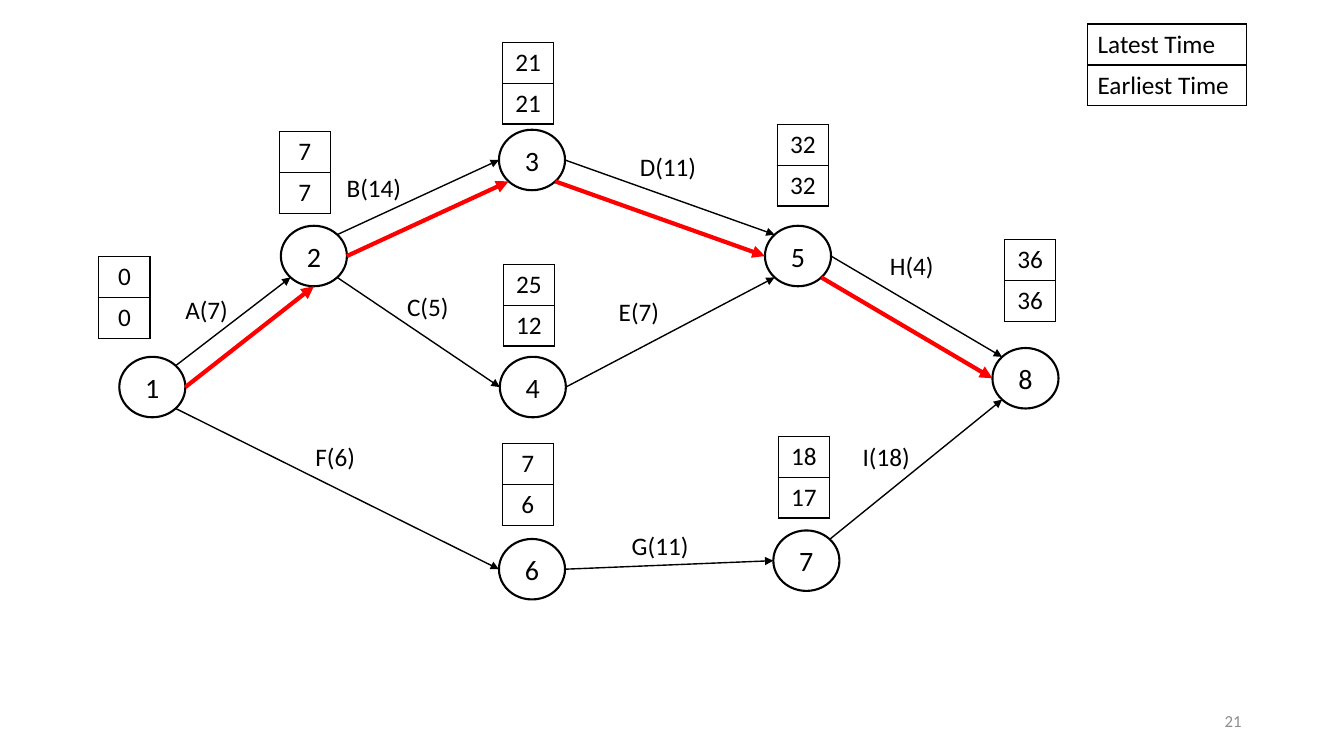
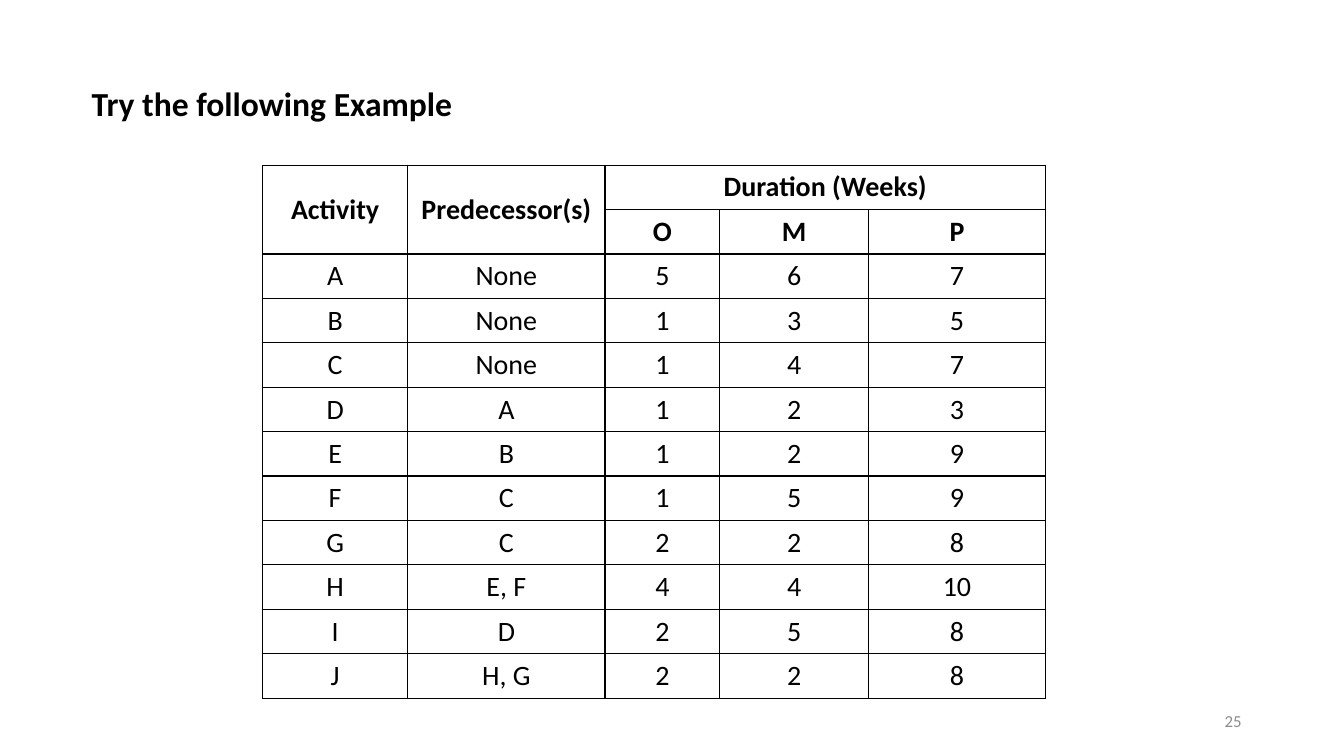
from math import cos, pi, sin

from lxml.etree import SubElement
from pptx import Presentation
from pptx.dml.color import RGBColor
from pptx.enum.shapes import MSO_CONNECTOR, MSO_SHAPE
from pptx.enum.text import MSO_ANCHOR, PP_ALIGN
from pptx.oxml.ns import qn
from pptx.util import Pt

BLACK = RGBColor(0, 0, 0)
RED = RGBColor(0xFF, 0, 0)
GREY = RGBColor(0x8C, 0x8C, 0x8C)
FONT = "Calibri"
NODE_W, NODE_H = 47.2, 43.2
ROW_H = 29.2

# Connection sites of an ellipse, counted anticlockwise from the top
TOP_LEFT, LEFT, LOW_LEFT, LOW, LOW_RIGHT, RIGHT, TOP_RIGHT = range(1, 8)

# Event: left and top of its circle, left and top of its times, latest, earliest
EVENTS = {
    1: (85.2, 254.9, 70.6, 183.4, 0, 0),
    2: (200.6, 161.3, 199.4, 94.2, 7, 7),
    3: (356.4, 92.7, 359, 30.2, 21, 21),
    4: (357, 254.9, 359.5, 188.8, 25, 12),
    5: (546.4, 161.3, 555.2, 88.8, 32, 32),
    6: (356.4, 385, 358.8, 316.7, 7, 6),
    7: (552.4, 378.9, 556, 311.6, 18, 17),
    8: (708.9, 248.6, 717.5, 171, 36, 36),
}
# Activity: start event and site, end event and site, label left, top, width
TASKS = {
    "A(7)": (1, TOP_RIGHT, 2, LOW_LEFT, 125.3, 206.6, 45.4),
    "B(14)": (2, TOP_RIGHT, 3, LEFT, 240.5, 119.5, 54),
    "C(5)": (2, LOW_RIGHT, 4, LEFT, 283.7, 204.5, 44.6),
    "D(11)": (3, RIGHT, 5, TOP_LEFT, 450, 104.4, 55.4),
    "E(7)": (4, RIGHT, 5, LOW_LEFT, 434.9, 208.1, 45.4),
    "F(6)": (1, LOW_RIGHT, 6, LEFT, 218.2, 311.8, 43.2),
    "G(11)": (6, RIGHT, 7, LEFT, 444.2, 375.1, 55.4),
    "H(4)": (5, RIGHT, 8, TOP_LEFT, 628.6, 175, 46.1),
    "I(18)": (7, TOP_RIGHT, 8, LOW_LEFT, 609.1, 311.8, 49),
}
CRITICAL = [
    (1, RIGHT, 2, LOW),
    (2, RIGHT, 3, LOW_LEFT),
    (3, LOW_RIGHT, 5, LEFT),
    (5, LOW_RIGHT, 8, LEFT),
]
PLAN = [
    ("Activity", "Predecessor(s)", "Duration (Weeks)", "", ""),
    ("", "", "O", "M", "P"),
    ("A", "None", 5, 6, 7),
    ("B", "None", 1, 3, 5),
    ("C", "None", 1, 4, 7),
    ("D", "A", 1, 2, 3),
    ("E", "B", 1, 2, 9),
    ("F", "C", 1, 5, 9),
    ("G", "C", 2, 2, 8),
    ("H", "E, F", 4, 4, 10),
    ("I", "D", 2, 5, 8),
    ("J", "H, G", 2, 2, 8),
]


def write(frame, text, size, color=BLACK, bold=False, align=PP_ALIGN.LEFT):
    frame.text = str(text)
    para = frame.paragraphs[0]
    para.alignment = align
    for run in para.runs:
        font = run.font
        font.name, font.size, font.bold = FONT, Pt(size), bold
        font.color.rgb = color


def add_label(slide, box, text, size, **style):
    frame = slide.shapes.add_textbox(*map(Pt, box)).text_frame
    frame.word_wrap = False
    write(frame, text, size, **style)
    return frame


def add_number(slide, num):
    frame = add_label(slide, (678, 500.5, 216, 28.8), num, 12,
                      color=GREY, align=PP_ALIGN.RIGHT)
    frame.word_wrap = True
    frame.vertical_anchor = MSO_ANCHOR.MIDDLE


def rule_cell(cell):
    """Draw the four borders, which stand ahead of the fill."""
    props = cell._tc.get_or_add_tcPr()
    for spot, side in enumerate(("lnL", "lnR", "lnT", "lnB")):
        edge = SubElement(props, qn("a:" + side), w=str(Pt(1)))
        fill = SubElement(edge, qn("a:solidFill"))
        SubElement(fill, qn("a:srgbClr"), val=str(BLACK))
        props.insert(spot, edge)


def add_grid(slide, left, top, widths, row_h, rows, size,
             heads=0, align=PP_ALIGN.CENTER):
    box = (left, top, sum(widths), row_h * len(rows))
    table = slide.shapes.add_table(
        len(rows), len(widths), *map(Pt, box)).table
    table.first_row = table.horz_banding = False
    for col, width in zip(table.columns, widths):
        col.width = Pt(width)
    for r, row in enumerate(rows):
        table.rows[r].height = Pt(row_h)
        for c, text in enumerate(row):
            cell = table.cell(r, c)
            cell.fill.background()
            cell.vertical_anchor = MSO_ANCHOR.MIDDLE
            write(cell.text_frame, text, size, bold=r < heads, align=align)
            rule_cell(cell)
    return table


def add_node(slide, left, top, num):
    node = slide.shapes.add_shape(
        MSO_SHAPE.OVAL, Pt(left), Pt(top), Pt(NODE_W), Pt(NODE_H))
    node.shadow.inherit = False
    node.fill.background()
    node.line.color.rgb = BLACK
    node.line.width = Pt(1.5)
    node.text_frame.vertical_anchor = MSO_ANCHOR.MIDDLE
    write(node.text_frame, num, 20, align=PP_ALIGN.CENTER)
    return node


def site_point(node, site):
    turn = site * pi / 4
    return (round(node.left + node.width / 2 * (1 - sin(turn))),
            round(node.top + node.height / 2 * (1 - cos(turn))))


def add_arrow(slide, start, out, end, into, color, width):
    arrow = slide.shapes.add_connector(
        MSO_CONNECTOR.STRAIGHT, *site_point(start, out), *site_point(end, into))
    arrow.line.color.rgb = color
    arrow.line.width = Pt(width)
    SubElement(arrow.line._get_or_add_ln(), qn("a:tailEnd"), type="triangle")
    SubElement(arrow._element.spPr, qn("a:effectLst"))
    # Join both ends to the circles
    links = arrow._element.nvCxnSpPr.cNvCxnSpPr
    for tag, node, site in (("stCxn", start, out), ("endCxn", end, into)):
        SubElement(links, qn("a:" + tag), id=str(node.shape_id), idx=str(site))


def network_slide(deck):
    slide = deck.slides.add_slide(deck.slide_layouts[6])
    # Events with their times
    nodes = {}
    for num, (left, top, x, y, late, early) in EVENTS.items():
        nodes[num] = add_node(slide, left, top, num)
        add_grid(slide, x, y, [36.5], ROW_H, [(late,), (early,)], 18)
    # Activities
    for name, (start, out, end, into, x, y, width) in TASKS.items():
        add_arrow(slide, nodes[start], out, nodes[end], into, BLACK, 1)
        add_label(slide, (x, y, width, 29), name, 18)
    # Critical path
    for start, out, end, into in CRITICAL:
        add_arrow(slide, nodes[start], out, nodes[end], into, RED, 3)
    # Key
    add_grid(slide, 776.8, 17.2, [113.8], ROW_H,
             [("Latest Time",), ("Earliest Time",)], 18, align=PP_ALIGN.LEFT)
    add_number(slide, 21)


def table_slide(deck):
    slide = deck.slides.add_slide(deck.slide_layouts[5])
    # Title
    title = slide.shapes.title
    title.left, title.top, title.width, title.height = map(
        Pt, (58.3, 55.4, 274.3, 36.4))
    frame = title.text_frame
    frame.word_wrap = False
    frame.vertical_anchor = MSO_ANCHOR.TOP
    write(frame, "Try the following Example", 24, bold=True)
    # Activity table
    table = add_grid(slide, 187.5, 118, [103.8, 140.9, 82, 106.3, 126.3],
                     31.7, PLAN, 20, heads=2)
    for r, c, low, right in ((0, 0, 1, 0), (0, 1, 1, 1), (0, 2, 0, 4)):
        table.cell(r, c).merge(table.cell(low, right))
    add_number(slide, 25)


def main():
    deck = Presentation()
    deck.slide_width, deck.slide_height = Pt(960), Pt(540)
    network_slide(deck)
    table_slide(deck)
    deck.save("out.pptx")


if __name__ == "__main__":
    main()
